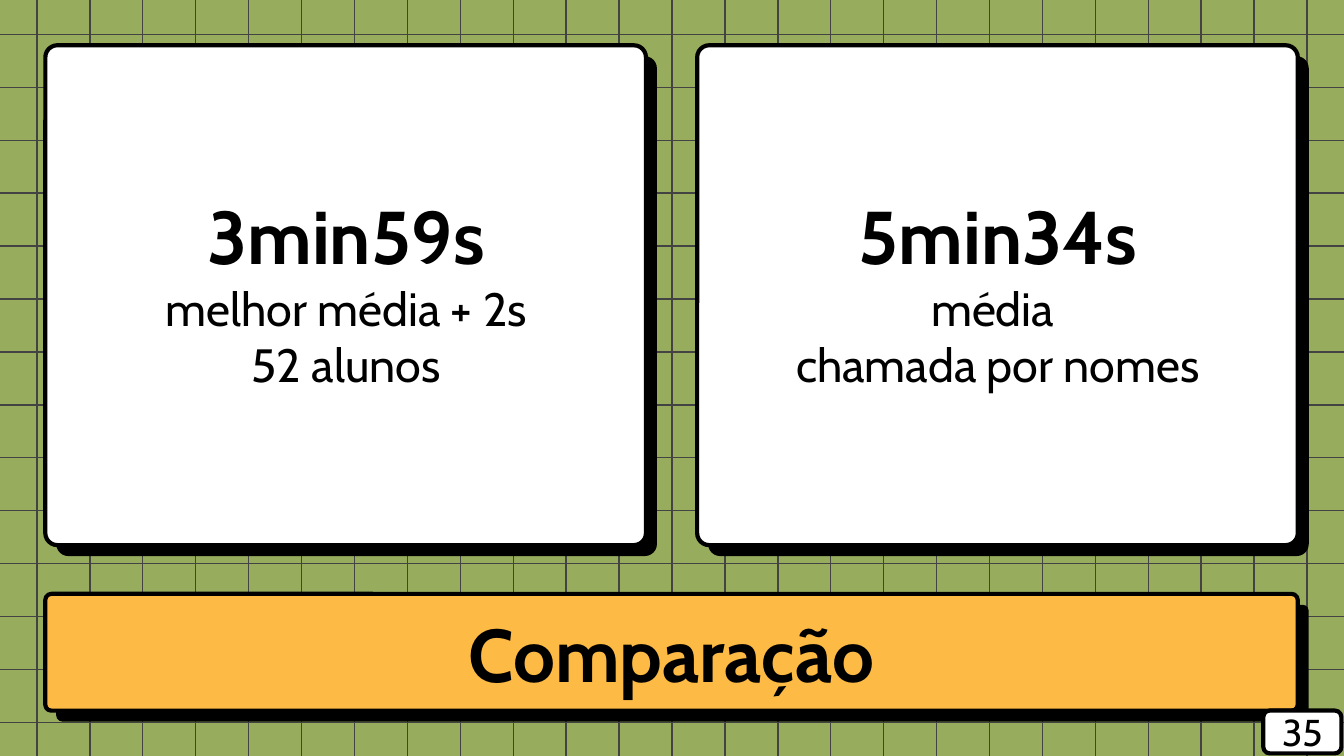
from dataclasses import dataclass

from pptx import Presentation
from pptx import util as u
from pptx.dml.color import RGBColor
from pptx.enum import shapes, text
from pptx.oxml.ns import qn

PX = 5715  # EMU per px: 160 px to the inch
W, H = 1600, 900
STEP = 63  # grid pitch
SHADOW = 13  # offset of the hard shadows

GREEN = RGBColor(0x97, 0xAC, 0x5D)
GREY = RGBColor(0x43, 0x43, 0x43)
ORANGE = RGBColor(0xFD, 0xBA, 0x45)
BLACK = RGBColor(0, 0, 0)
WHITE = RGBColor(255, 255, 255)


@dataclass(frozen=True)
class Box:
    x: int
    y: int
    w: int
    h: int

    def emu(self) -> list[int]:
        return [v * PX for v in (self.x, self.y, self.w, self.h)]

    def moved(self, d: int) -> "Box":
        return Box(self.x + d, self.y + d, self.w, self.h)


@dataclass(frozen=True)
class Card:
    box: Box
    time: str
    notes: tuple[str, ...]


CARDS = (
    Card(Box(54, 54, 715, 595), "3min59s", ("melhor média + 2s", "52 alunos")),
    Card(Box(830, 54, 715, 595), "5min34s", ("média \vchamada por nomes",)),
)
BANNER = Box(54, 707, 1491, 139)
BADGE = Box(1504, 846, 93, 51)
NUMBER = Box(1504, 827, 93, 88)


def grid_line(s, x1: int, y1: int, x2: int, y2: int) -> None:
    ln = s.shapes.add_connector(
        shapes.MSO_CONNECTOR.STRAIGHT, x1 * PX, y1 * PX, x2 * PX, y2 * PX)
    ln.line.color.rgb = GREY
    ln.line.width = u.Pt(0.75)
    sp_pr = ln._element.spPr
    sp_pr.append(sp_pr.makeelement(qn("a:effectLst"), {}))


def panel(s, box: Box, fill: RGBColor, adj: float, outlined: bool = True) -> None:
    sp = s.shapes.add_shape(shapes.MSO_SHAPE.ROUNDED_RECTANGLE, *box.emu())
    sp.adjustments[0] = adj
    sp.shadow.inherit = False
    sp.fill.solid()
    sp.fill.fore_color.rgb = fill
    if outlined:
        sp.line.color.rgb = BLACK
        sp.line.width = u.Pt(2.25)
    else:
        sp.line.fill.background()


def shadowed_panel(s, box: Box, fill: RGBColor, adj: float) -> None:
    panel(s, box.moved(SHADOW), BLACK, adj, outlined=False)
    panel(s, box, fill, adj)


def frame(tf, anchor=text.MSO_ANCHOR.MIDDLE, mx: int = 16, my: int = 16) -> None:
    tf.word_wrap = True
    tf.auto_size = text.MSO_AUTO_SIZE.NONE
    tf.vertical_anchor = anchor
    tf.margin_left = tf.margin_right = mx * PX
    tf.margin_top = tf.margin_bottom = my * PX


def write(p, words: str, *, size: int, bold: bool = False) -> None:
    p.text = words
    p.alignment = text.PP_ALIGN.CENTER
    for r in p.runs:
        r.font.name = "Cabin"
        r.font.size = u.Pt(size)
        r.font.bold = bold
        r.font.color.rgb = BLACK


def main() -> None:
    prs = Presentation()
    prs.slide_width, prs.slide_height = W * PX, H * PX
    s = prs.slides.add_slide(prs.slide_layouts[5])
    s.background.fill.solid()
    s.background.fill.fore_color.rgb = GREEN

    # Squared paper
    for y in range(41, H, STEP):
        grid_line(s, 0, y, W, y)
    for x in range(44, W, STEP):
        grid_line(s, x, 0, x, H)

    # Title banner, with the title brought in front of it
    shadowed_panel(s, BANNER, ORANGE, 0.052)
    title = s.shapes.title
    s.shapes._spTree.append(title._element)
    title.left, title.top, title.width, title.height = BANNER.emu()
    frame(title.text_frame)
    write(title.text_frame.paragraphs[0], "Comparação", size=40, bold=True)

    # Cards with the two times
    for card in CARDS:
        shadowed_panel(s, card.box, WHITE, 0.024)
        area = Box(card.box.x + 59, 210, 598, 283)
        tf = s.shapes.add_textbox(*area.emu()).text_frame
        frame(tf, text.MSO_ANCHOR.TOP)
        write(tf.paragraphs[0], card.time, size=40, bold=True)
        for note in card.notes:
            write(tf.add_paragraph(), note, size=25)

    # Slide number
    panel(s, BADGE, WHITE, 0.151)
    tf = s.shapes.add_textbox(*NUMBER.emu()).text_frame
    frame(tf, mx=10, my=0)
    write(tf.paragraphs[0], "35", size=20)

    prs.save("out.pptx")


if __name__ == "__main__":
    main()
